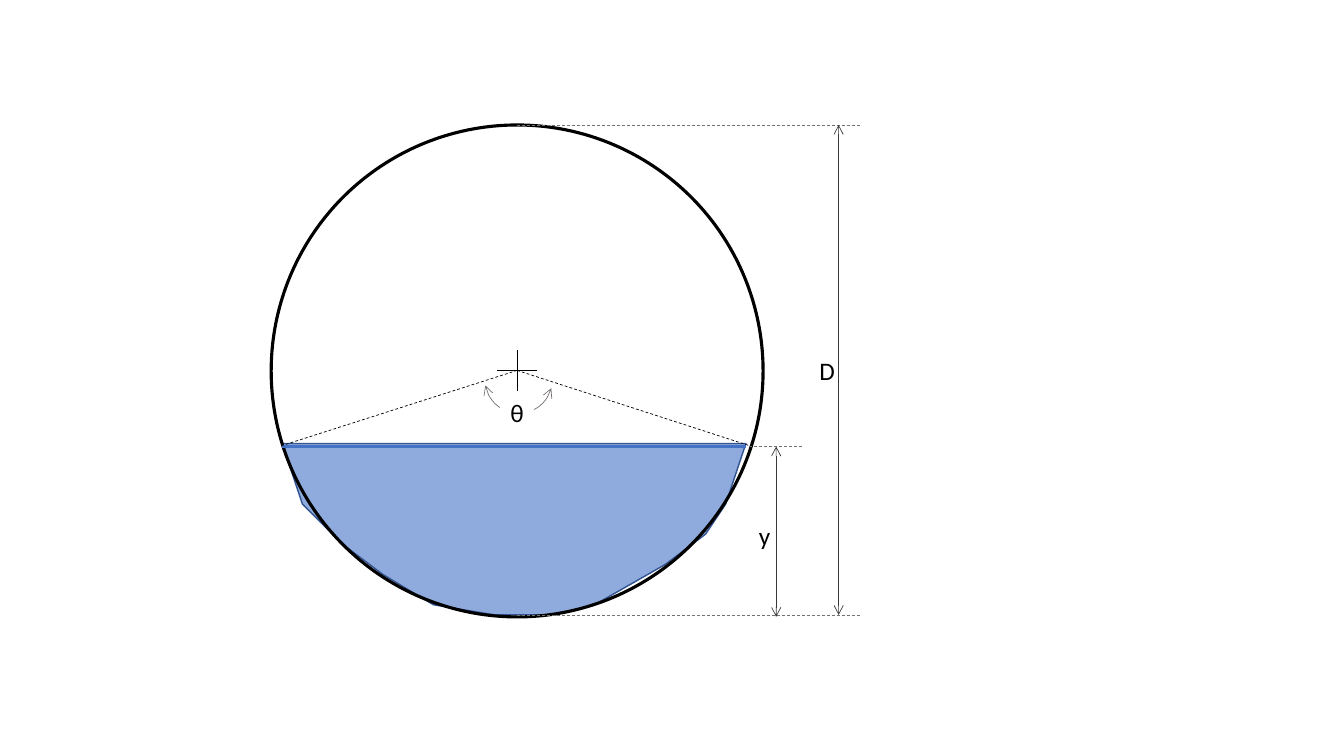
from dataclasses import dataclass

from lxml import etree
from pptx import Presentation
from pptx.dml.color import RGBColor
from pptx.enum.dml import MSO_LINE
from pptx.enum.shapes import MSO_CONNECTOR, MSO_SHAPE
from pptx.enum.text import MSO_ANCHOR, MSO_AUTO_SIZE, PP_ALIGN
from pptx.oxml.ns import qn
from pptx.util import Inches, Pt

DASH = MSO_LINE.DASH
LINE = MSO_CONNECTOR.STRAIGHT
OVAL, ARC, RECT = MSO_SHAPE.OVAL, MSO_SHAPE.ARC, MSO_SHAPE.RECTANGLE
MID, TOP = MSO_ANCHOR.MIDDLE, MSO_ANCHOR.TOP
MIDDLE, LEFT = PP_ALIGN.CENTER, PP_ALIGN.LEFT
FIT = MSO_AUTO_SIZE.SHAPE_TO_FIT_TEXT

CELL = Inches(0.1)
COLS, ROWS = 133.33, 75
BLACK, GREY, DARK = "000000", "767171", "3B3838"
WATER, RIM, LEVEL = "8FAADC", "325491", "4472C4"

MID_X, MID_Y = 51.3, 36.75
CREST, BED, SURF = 12.4, 61, 44.3
SIZE = 48.8
CROSS = 2
EDGE = 74.3


@dataclass
class Rule:
    x1: float
    y1: float
    x2: float
    y2: float
    color: str = BLACK
    width: float = 0.5
    dash: bool = False
    heads: bool = False


@dataclass
class Label:
    text: str
    x: float
    y: float
    w: float
    h: float


def grid(cells: float) -> int:
    return round(cells * CELL)


def rgb(code: str) -> RGBColor:
    return RGBColor.from_string(code)


def stroke(item, color: str, width: float) -> None:
    item.line.color.rgb = rgb(color)
    item.line.width = Pt(width)


def tips(item) -> None:
    pen = item.line._get_or_add_ln()
    for end in ("a:headEnd", "a:tailEnd"):
        etree.SubElement(pen, qn(end), type="arrow")


def rule(item: Rule) -> None:
    ends = (item.x1, item.y1, item.x2, item.y2)
    line = shapes.add_connector(LINE, *map(grid, ends))
    stroke(line, item.color, item.width)
    if item.dash:
        line.line.dash_style = DASH
    if item.heads:
        tips(line)
    etree.SubElement(line._element.spPr, qn("a:effectLst"))


def shape(kind, x: float, y: float, w: float, h: float):
    item = shapes.add_shape(kind, *map(grid, (x, y, w, h)))
    item.shadow.inherit = False
    item.fill.background()
    return item


def write(item, text: str, align, anchor, pad: float) -> None:
    frame = item.text_frame
    frame.text = text
    frame.word_wrap = False
    frame.auto_size = FIT
    frame.vertical_anchor = anchor
    frame.margin_left = frame.margin_right = grid(1)
    frame.margin_top = frame.margin_bottom = grid(pad)
    line = frame.paragraphs[0]
    line.alignment = align
    font = line.runs[0].font
    font.name, font.size = "Calibri", Pt(18)
    font.color.rgb = rgb(BLACK)


def label(item: Label) -> None:
    box = shapes.add_textbox(*map(grid, (item.x, item.y, item.w, item.h)))
    write(box, item.text, LEFT, TOP, 0.5)


deck = Presentation()
deck.slide_width, deck.slide_height = grid(COLS), grid(ROWS)
shapes = deck.slides.add_slide(deck.slide_layouts[6]).shapes

shore = [
    (27.9, 44.5), (74.3, 44.2), (73.4, 47.2), (71.8, 50), (69.8, 52.7),
    (66, 56.3), (59.3, 59.9), (54.8, 61), (48.8, 61.2), (42.6, 59.9),
    (37.8, 57.2), (34.1, 54.1), (30.5, 49.6), (28.9, 46.8),
]
path = shapes.build_freeform(*shore[0], scale=CELL)
path.add_line_segments(shore[1:], close=True)
water = path.convert_to_shape()
water.shadow.inherit = False
water.fill.solid()
water.fill.fore_color.rgb = rgb(WATER)
stroke(water, RIM, 1)

pipe = shape(OVAL, MID_X - SIZE / 2, CREST, SIZE, SIZE)
stroke(pipe, BLACK, 2.25)

for item in (
    Rule(28, SURF, 74, SURF, LEVEL, 1.5),
    Rule(MID_X, MID_Y - CROSS, MID_X, MID_Y + CROSS, width=0.25),
    Rule(MID_X + CROSS, MID_Y, MID_X - CROSS, MID_Y, width=0.25),
    Rule(MID_X, MID_Y, 28, 44.2, dash=True),
    Rule(MID_X, MID_Y, EDGE, 44.2, dash=True),
):
    rule(item)

sweep = shape(ARC, 48.1, 34.3, 6.7, 6.7)
sweep.rotation = 180
sweep.adjustments[0] = 116.94
sweep.adjustments[1] = 209.97
stroke(sweep, GREY, 0.5)
tips(sweep)

theta = shape(RECT, MID_X - 1.7, 39.4, 3.4, 3)
theta.fill.solid()
theta.fill.fore_color.rgb = rgb("FFFFFF")
theta.line.fill.background()
write(theta, "θ", MIDDLE, MID, 0)

for item in (
    Rule(MID_X, CREST, 85.3, CREST, GREY, dash=True),
    Rule(EDGE, SURF, 79.7, SURF, GREY, dash=True),
    Rule(MID_X, BED, 85.4, BED, GREY, dash=True),
    Rule(77, SURF, 77, 61.2, DARK, heads=True),
    Rule(83.2, CREST, 83.2, BED, DARK, heads=True),
):
    rule(item)

for item in (Label("D", 80.3, 34.8, 3.6, 4), Label("y", EDGE, 51.1, 3.2, 4)):
    label(item)

deck.save("out.pptx")
